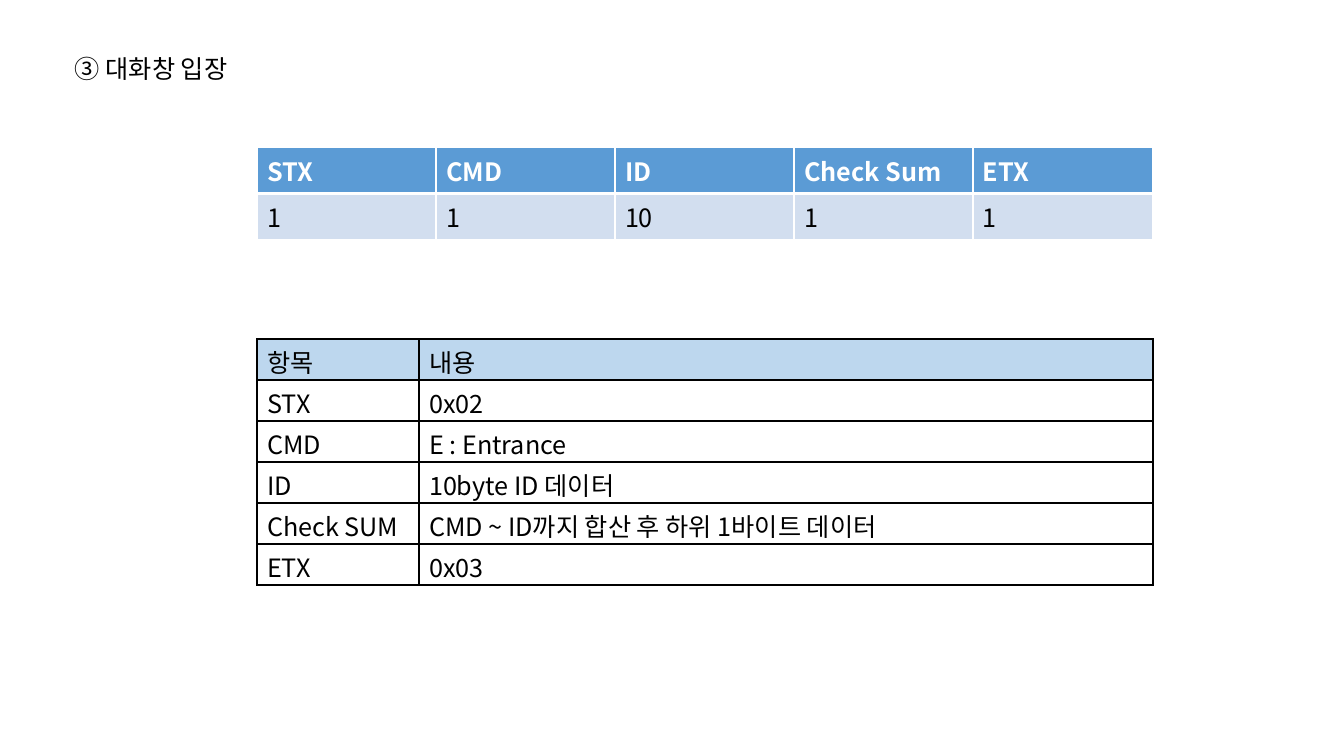
from dataclasses import dataclass

from lxml import etree
from pptx import Presentation
from pptx import util as u
from pptx.dml.color import RGBColor
from pptx.enum import text
from pptx.oxml import ns

EMU_PER_PX = 914400 / 100.8


def px(length: int) -> u.Emu:
    return u.Emu(round(length * EMU_PER_PX))


@dataclass(frozen=True)
class Theme:
    font: str = "Noto Sans CJK KR"
    size: int = 18
    black: str = "000000"
    white: str = "FFFFFF"
    packet_header: str = "5B9BD5"
    packet_body: str = "D2DEEF"
    field_header: str = "BDD7EE"


THEME = Theme()


@dataclass(frozen=True)
class RowStyle:
    fill: str
    ink: str
    border: str
    bold: bool = False
    bottom_border: int = 1  # points


@dataclass(frozen=True)
class Grid:
    left: int
    top: int
    columns: tuple[int, ...]
    rows: tuple[tuple[str, ...], ...]
    header: RowStyle
    body: RowStyle
    margin_top: int = 5
    margin_bottom: int = 5
    anchor: text.MSO_ANCHOR = text.MSO_ANCHOR.TOP


ROW_HEIGHT = 41
TABLE_LEFT = 257

PACKET = Grid(
    TABLE_LEFT, 147, (179, 179, 179, 179, 180),
    (("STX", "CMD", "ID", "Check Sum", "ETX"),
     ("1", "1", "10", "1", "1")),
    RowStyle(THEME.packet_header, THEME.white, THEME.white, True, 3),
    RowStyle(THEME.packet_body, THEME.black, THEME.white),
)

FIELDS = Grid(
    TABLE_LEFT, 339, (162, 734),
    (("항목", "내용"),
     ("STX", "0x02"),
     ("CMD", "E : Entrance"),
     ("ID", "10byte ID 데이터"),
     ("Check SUM", "CMD ~ ID까지 합산 후 하위 1바이트 데이터"),
     ("ETX", "0x03")),
    RowStyle(THEME.field_header, THEME.black, THEME.black),
    RowStyle(THEME.white, THEME.black, THEME.black),
    margin_top=1, margin_bottom=0, anchor=text.MSO_ANCHOR.BOTTOM,
)


def write(frame, wording: str, ink: str, bold: bool = False) -> None:
    frame.text = wording
    for run in frame.paragraphs[0].runs:
        run.font.name = THEME.font
        run.font.size = u.Pt(THEME.size)
        run.font.bold = bold
        run.font.color.rgb = RGBColor.from_string(ink)
        # Hangul takes the East Asian typeface
        latin = run.font._element.find(ns.qn("a:latin"))
        east_asian = etree.Element(ns.qn("a:ea"), typeface=THEME.font)
        latin.addnext(east_asian)


def draw_borders(cell, style: RowStyle) -> None:
    properties = cell._tc.get_or_add_tcPr()
    for position, side in enumerate("LRTB"):
        points = style.bottom_border if side == "B" else 1
        line = etree.Element(ns.qn(f"a:ln{side}"), w=str(u.Pt(points)))
        solid = etree.SubElement(line, ns.qn("a:solidFill"))
        etree.SubElement(solid, ns.qn("a:srgbClr"), val=style.border)
        properties.insert(position, line)


def draw_grid(slide, grid: Grid) -> None:
    table = slide.shapes.add_table(
        len(grid.rows), len(grid.columns), px(grid.left), px(grid.top),
        px(sum(grid.columns)), px(ROW_HEIGHT * len(grid.rows))).table
    table.horz_banding = False
    for column, width in zip(table.columns, grid.columns):
        column.width = px(width)
    for index, wordings in enumerate(grid.rows):
        table.rows[index].height = px(ROW_HEIGHT)
        style = grid.body if index else grid.header
        for cell, wording in zip(table.rows[index].cells, wordings):
            write(cell.text_frame, wording, style.ink, style.bold)
            cell.margin_top = px(grid.margin_top)
            cell.margin_bottom = px(grid.margin_bottom)
            cell.vertical_anchor = grid.anchor
            cell.fill.solid()
            cell.fill.fore_color.rgb = RGBColor.from_string(style.fill)
            draw_borders(cell, style)


def draw_heading(slide) -> None:
    heading = slide.shapes.add_textbox(px(65), px(48), px(200), px(40)).text_frame
    write(heading, "③ 대화창 입장", THEME.black)
    heading.word_wrap = False
    heading.auto_size = text.MSO_AUTO_SIZE.SHAPE_TO_FIT_TEXT


def main() -> None:
    deck = Presentation()
    deck.slide_width, deck.slide_height = px(1344), px(756)
    slide = deck.slides.add_slide(deck.slide_layouts[6])

    # Packet layout: field names over their byte counts
    draw_grid(slide, PACKET)
    # Section heading
    draw_heading(slide)
    # Meaning of each field
    draw_grid(slide, FIELDS)

    deck.save("out.pptx")


if __name__ == "__main__":
    main()
